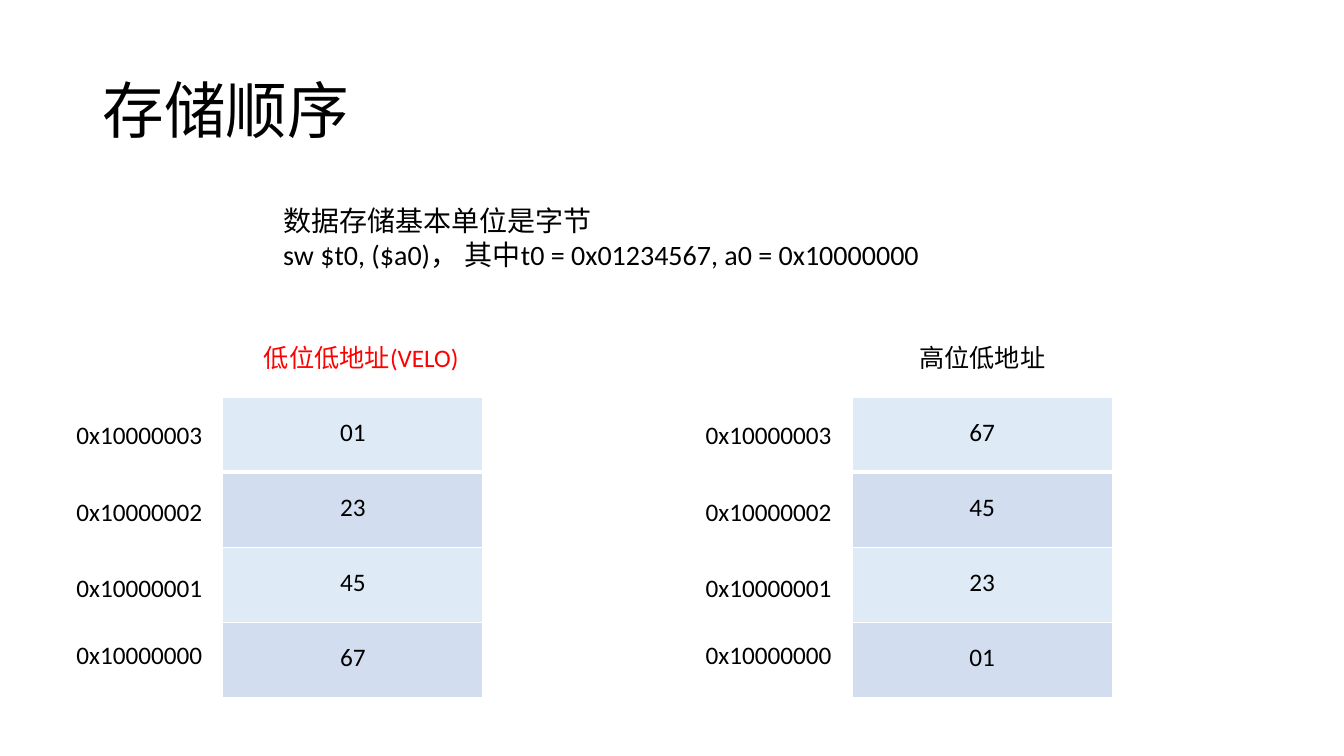
from lxml.etree import SubElement
from pptx import Presentation
from pptx.dml.color import RGBColor
from pptx.enum.text import MSO_ANCHOR as Anchor, PP_ALIGN as Align
from pptx.oxml.ns import qn
from pptx.util import Inches, Pt

# Content
TITLE = "存储顺序"
INTRO = ["数据存储基本单位是字节",
         "sw $t0, ($a0)， 其中t0 = 0x01234567, a0 = 0x10000000"]
ADDRESSES = [("0x10000003", 4.11), ("0x10000002", 4.87),
             ("0x10000001", 5.63), ("0x10000000", 6.29)]
# heading, heading colour, heading left, address left, bytes from top to bottom
ORDERS = [
    ("低位低地址(VELO)", "FF0000", 1.02, 0.66, ["01", "23", "45", "67"]),
    ("高位低地址", "000000", 7.52, 6.9, ["67", "45", "23", "01"]),
]

# Layout and style
FONT = "Calibri"
BLACK, WHITE = "000000", "FFFFFF"
BANDS = ["DEEBF7", "D2DEEF"]
ADDRESS_WIDTH, LABEL_HEIGHT = 1.55, 0.4
TABLE_TOP, TABLE_WIDTH, TABLE_HEIGHT = 3.94, 2.58, 2.98


def rgb(code):
    return RGBColor.from_string(code)


def add_span(para, text, size, color=BLACK):
    span = para.add_run()
    span.text = text
    span.font.name = FONT
    span.font.size = Pt(size)
    span.font.color.rgb = rgb(color)


def add_text(page, place, lines, size, color=BLACK):
    box = page.shapes.add_textbox(*map(Inches, place))
    frame = box.text_frame
    frame.word_wrap = True
    for index, line in enumerate(lines):
        para = frame.add_paragraph() if index else frame.paragraphs[0]
        add_span(para, line, size, color)
    return frame


def set_borders(cell, widths):
    props = cell._tc.get_or_add_tcPr()
    for index, (side, width) in enumerate(widths.items()):
        line = SubElement(props, qn(f"a:ln{side}"), w=str(Pt(width)))
        fill = SubElement(line, qn("a:solidFill"))
        SubElement(fill, qn("a:srgbClr"), val=WHITE)
        props.insert(index, line)


def add_memory(page, left, values):
    place = (left, TABLE_TOP, TABLE_WIDTH, TABLE_HEIGHT)
    table = page.shapes.add_table(len(values), 1, *map(Inches, place)).table
    table.first_row = table.horz_banding = False
    for row, value in enumerate(values):
        table.rows[row].height = Inches(TABLE_HEIGHT / len(values))
        cell = table.cell(row, 0)
        cell.margin_top = Inches(0.2)
        cell.fill.solid()
        cell.fill.fore_color.rgb = rgb(BANDS[row % 2])
        # The line under the first row is thicker
        set_borders(cell, {"L": 1, "R": 1, "T": 3 if row == 1 else 1,
                           "B": 3 if row == 0 else 1})
        para = cell.text_frame.paragraphs[0]
        para.alignment = Align.CENTER
        add_span(para, value, 18)


def main():
    deck = Presentation()
    deck.slide_width, deck.slide_height = Inches(13.33), Inches(7.5)
    page = deck.slides.add_slide(deck.slide_layouts[6])

    # Title and introduction
    title = add_text(page, (0.92, 0.4, 11.5, 1.45), [TITLE], 44)
    title.vertical_anchor = Anchor.MIDDLE
    title.paragraphs[0].line_spacing = 0.9
    add_text(page, (2.71, 1.97, 6.88, 0.7), INTRO, 20)

    # One memory column for each byte order
    for heading, color, heading_left, address_left, values in ORDERS:
        add_memory(page, address_left + ADDRESS_WIDTH, values)
        place = (heading_left, 3.35, 4.44, LABEL_HEIGHT)
        para = add_text(page, place, [heading], 18, color).paragraphs[0]
        indent = para._p.get_or_add_pPr()
        indent.set("marL", str(Inches(1)))
        indent.set("indent", str(Inches(0.5)))
        for address, top in ADDRESSES:
            place = (address_left, top, ADDRESS_WIDTH, LABEL_HEIGHT)
            add_text(page, place, [address], 18)

    deck.save("out.pptx")


if __name__ == "__main__":
    main()
